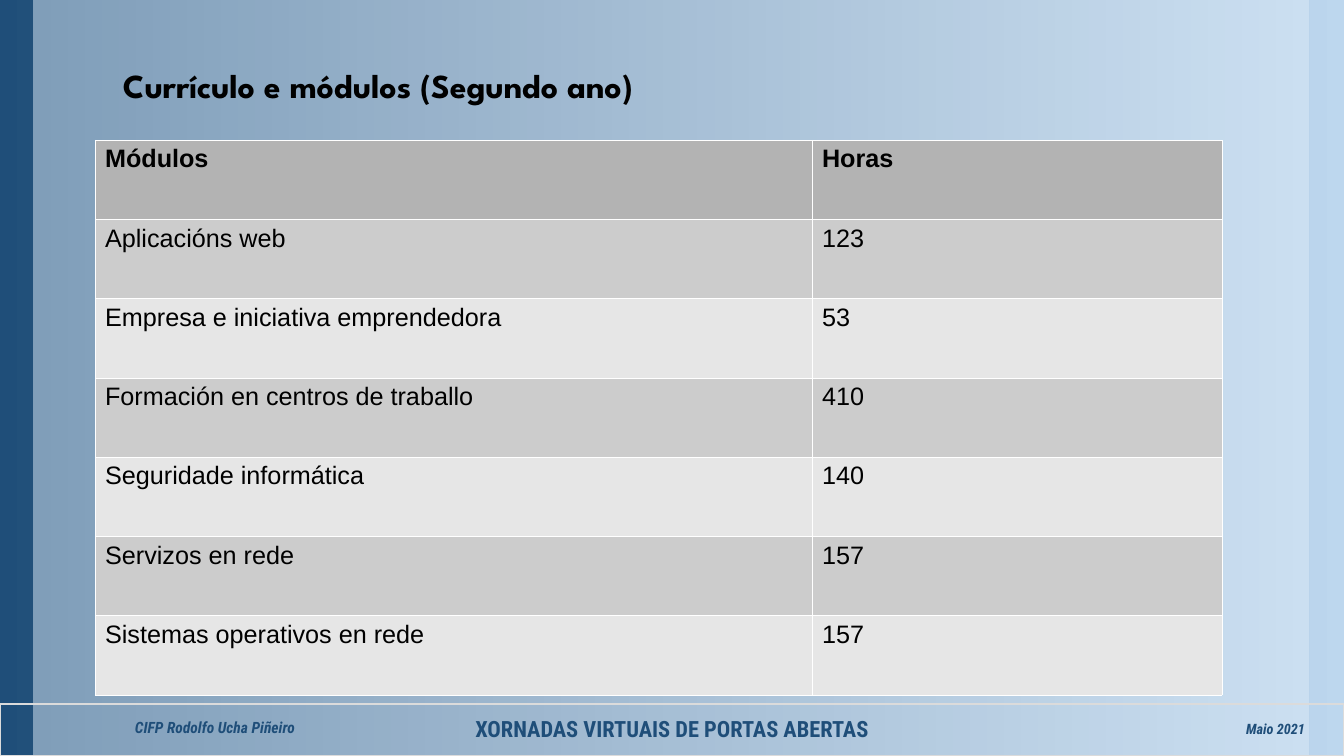
"""Build the slide listing the second-year modules and their hours."""
from lxml import etree
from pptx import Presentation
from pptx.dml.color import RGBColor
from pptx.enum.shapes import MSO_SHAPE
from pptx.enum.text import MSO_ANCHOR, MSO_AUTO_SIZE, PP_ALIGN
from pptx.oxml.ns import qn
from pptx.util import Pt

RECTANGLE = MSO_SHAPE.RECTANGLE
MIDDLE, BOTTOM = MSO_ANCHOR.MIDDLE, MSO_ANCHOR.BOTTOM
LEFT, CENTER = PP_ALIGN.LEFT, PP_ALIGN.CENTER
NO_AUTOFIT = MSO_AUTO_SIZE.NONE

NAVY = RGBColor(0x1F, 0x4E, 0x79)
SKY = RGBColor(0xBD, 0xD7, 0xEE)
PALE_BLUE = RGBColor(0xDE, 0xEB, 0xF7)
FRAME_GREY = RGBColor(0xDB, 0xDB, 0xDB)
HEADER_GREY = RGBColor(0xB3, 0xB3, 0xB3)
BAND_GREYS = (RGBColor(0xE6, 0xE6, 0xE6), RGBColor(0xCC, 0xCC, 0xCC))
BLACK = RGBColor(0, 0, 0)

HEADING = "Currículo e módulos (Segundo ano)"
MODULES = [
    ("Módulos", "Horas"),
    ("Aplicacións web", "123"),
    ("Empresa e iniciativa emprendedora", "53"),
    ("Formación en centros de traballo", "410"),
    ("Seguridade informática", "140"),
    ("Servizos en rede", "157"),
    ("Sistemas operativos en rede", "157"),
]
FOOTER = [
    ("XORNADAS VIRTUAIS DE PORTAS ABERTAS", (13, 711, 1318, 38), 16, False, 0.85),
    ("Maio 2021", (1228, 709, 95, 35), 10.2, True, 0.75),
    ("CIFP Rodolfo Ucha Piñeiro", (100, 708, 230, 35), 11.1, True, 0.75),
]

SLIDE_SIZE = (1344, 756)
VEIL_BOX = (33, 0, 1276, 756)
FOOTER_BOX = (0, 704, 1344, 52)
HEADING_BOX = (123, 8, 1120, 154)
TABLE_BOX = (95, 140, 1127, 555)
COLUMN_WIDTHS = (717, 410)
FOOTER_INSETS = (13, 7)
BORDER_WIDTH = Pt(0.06)


def px(length):
    return round(length * 914400 / 100.8)


def box(lengths):
    return [px(length) for length in lengths]


def add_rectangle(slide, bounds):
    rectangle = slide.shapes.add_shape(RECTANGLE, *box(bounds))
    rectangle.shadow.inherit = False
    rectangle.fill.background()
    rectangle.line.fill.background()
    return rectangle


def set_insets(frame, across, down):
    frame.margin_left = frame.margin_right = px(across)
    frame.margin_top = frame.margin_bottom = px(down)


def style(paragraph, font_name, size, color, bold, italic=False):
    for run in paragraph.runs:
        run.font.name = font_name
        run.font.size = Pt(size)
        run.font.color.rgb = color
        run.font.bold = bold
        run.font.italic = italic


def add_backdrop(slide):
    gradient = add_rectangle(slide, (0, 0, *SLIDE_SIZE)).fill
    gradient.gradient()
    gradient.gradient_angle = 0
    for stop, color in zip(gradient.gradient_stops, (NAVY, SKY)):
        stop.color.rgb = color
    veil = add_rectangle(slide, VEIL_BOX)
    veil.fill.solid()
    veil.fill.fore_color.rgb = PALE_BLUE
    veil_color = veil.element.spPr.find(qn("a:solidFill"))[0]
    etree.SubElement(veil_color, qn("a:alpha"), val="50000")


def add_footer(slide):
    footer_frame = add_rectangle(slide, FOOTER_BOX)
    footer_frame.line.color.rgb = FRAME_GREY
    footer_frame.line.width = Pt(2)
    for wording, bounds, size, italic, spacing in FOOTER:
        frame = slide.shapes.add_textbox(*box(bounds)).text_frame
        frame.word_wrap = True
        frame.vertical_anchor = BOTTOM
        set_insets(frame, *FOOTER_INSETS)
        frame.text = wording
        label = frame.paragraphs[0]
        label.alignment = CENTER
        label.line_spacing = spacing
        style(label, "Roboto Condensed", size, NAVY, True, italic)


def place_heading(slide):
    heading = slide.shapes.title
    heading.left, heading.top, heading.width, heading.height = box(HEADING_BOX)
    heading.element.getparent().append(heading.element)
    frame = heading.text_frame
    frame.text = HEADING
    frame.word_wrap = True
    frame.auto_size = NO_AUTOFIT
    frame.vertical_anchor = MIDDLE
    set_insets(frame, 0, 0)
    frame.paragraphs[0].alignment = LEFT
    style(frame.paragraphs[0], "League Spartan", 24, BLACK, True)


def add_borders(cell):
    properties = cell._tc.get_or_add_tcPr()
    for side in ("a:lnL", "a:lnR", "a:lnT", "a:lnB"):
        border = etree.SubElement(properties, qn(side), w=str(int(BORDER_WIDTH)))
        fill = etree.SubElement(border, qn("a:solidFill"))
        etree.SubElement(fill, qn("a:srgbClr"), val="FFFFFF")


def add_modules(slide):
    table = slide.shapes.add_table(
        len(MODULES), len(COLUMN_WIDTHS), *box(TABLE_BOX)).table
    table.first_row = table.horz_banding = False
    for column, width in zip(table.columns, COLUMN_WIDTHS):
        column.width = px(width)
    for row, entries in enumerate(MODULES):
        is_header = row == 0
        for column, entry in enumerate(entries):
            cell = table.cell(row, column)
            add_borders(cell)
            cell.fill.solid()
            cell.fill.fore_color.rgb = HEADER_GREY if is_header else BAND_GREYS[row % 2]
            cell.text_frame.text = entry
            style(cell.text_frame.paragraphs[0], "Arial", 18, BLACK, is_header)


def main():
    deck = Presentation()
    deck.slide_width, deck.slide_height = box(SLIDE_SIZE)
    slide = deck.slides.add_slide(deck.slide_layouts[5])
    add_backdrop(slide)
    add_footer(slide)
    place_heading(slide)
    add_modules(slide)
    deck.save("out.pptx")


if __name__ == "__main__":
    main()
